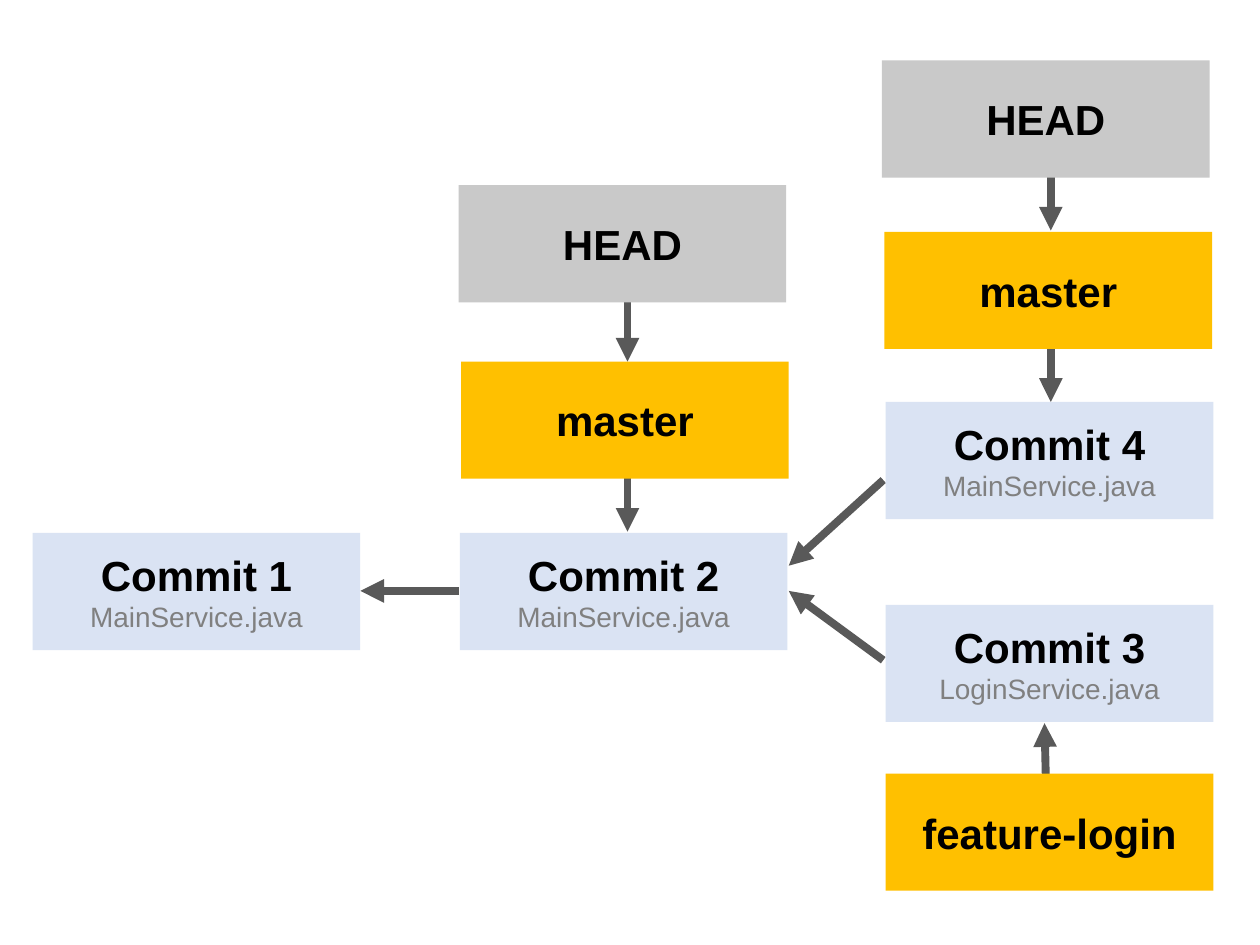
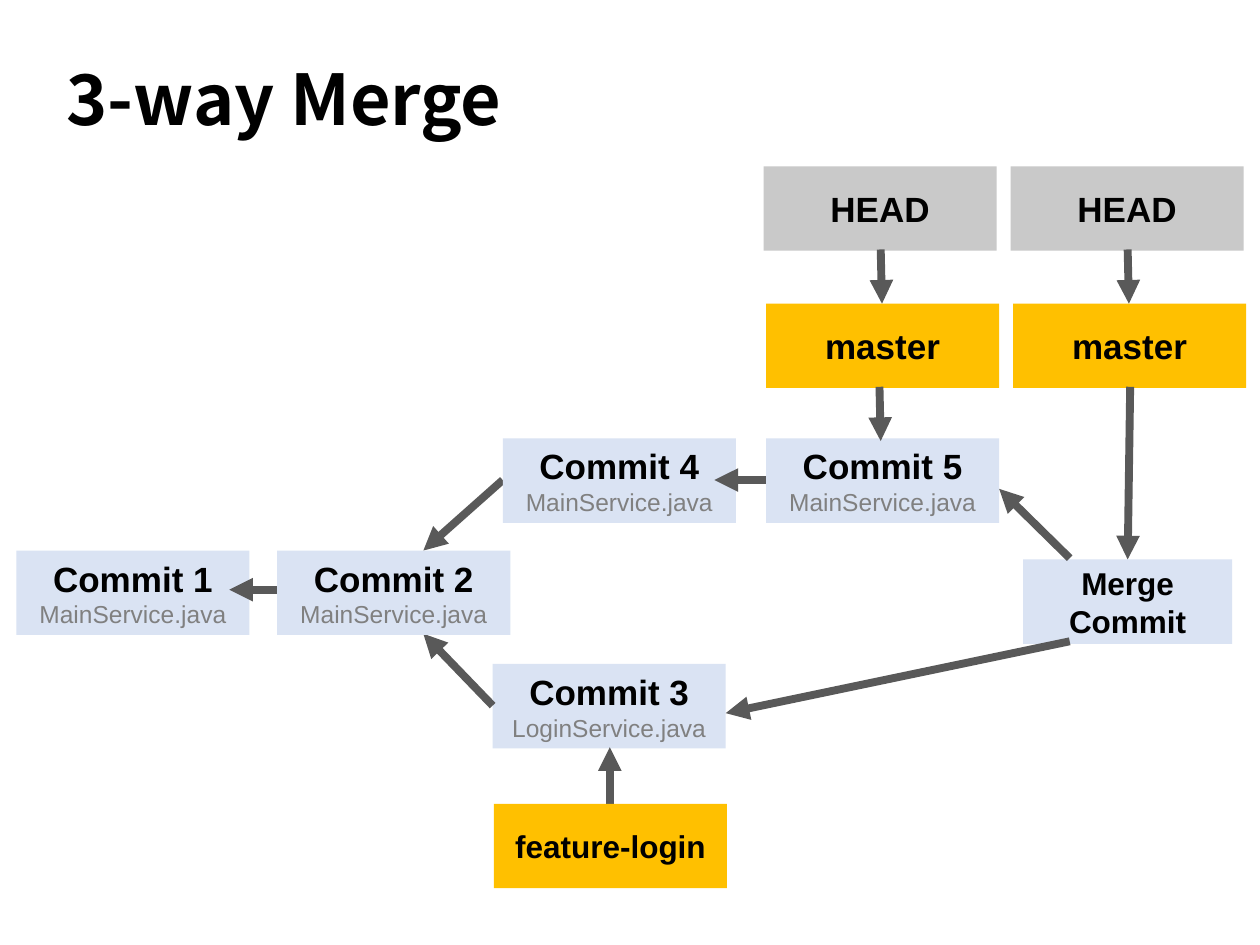
from lxml import etree
from pptx import Presentation
from pptx.dml.color import RGBColor
from pptx.enum.shapes import MSO_CONNECTOR, MSO_SHAPE
from pptx.enum.text import MSO_ANCHOR, PP_ALIGN
from pptx.oxml.ns import qn
from pptx.util import Inches, Pt

RECT = MSO_SHAPE.RECTANGLE
LINE = MSO_CONNECTOR.STRAIGHT
MIDDLE = MSO_ANCHOR.MIDDLE
CENTER = PP_ALIGN.CENTER

BLUE, GOLD, GREY = "DAE3F3", "FFC000", "C9C9C9"
BLACK, MUTED, DARK = "000000", "808080", "595959"
FONT, HEAVY = "Arial", "Noto Sans CJK KR"
MAIN, LOGIN = "MainService.java", "LoginService.java"


def color(code):
    """Turn a hex string into a colour."""
    return RGBColor.from_string(code)


class Graph:
    """Draw commit graphs in one shared style."""

    def __init__(self):
        """Start an empty 10 by 7.5 inch deck."""
        self.deck = Presentation()
        self.deck.slide_width = Inches(10)
        self.deck.slide_height = Inches(7.5)

    def page(self, width, height, large, small):
        """Add a slide and set its box and text sizes."""
        self.slide = self.deck.slides.add_slide(self.deck.slide_layouts[6])
        self.width, self.height = width, height
        self.large, self.small = large, small

    def style(self, para, size, code=BLACK, bold=True, name=FONT):
        """Format all runs of a paragraph."""
        for run in para.runs:
            run.font.name = name
            run.font.size = Pt(size)
            run.font.bold = bold
            run.font.color.rgb = color(code)

    def title(self, text):
        """Add the slide title."""
        box = self.slide.shapes.add_textbox(
            Inches(0.43), Inches(0.12), Inches(9.54), Inches(1.31))
        frame = box.text_frame
        frame.word_wrap = True
        frame.vertical_anchor = MIDDLE
        frame.text = text
        self.style(frame.paragraphs[0], 40, name=HEAVY)

    def box(self, text, left, top, fill, note=None, width=None, size=None):
        """Add a labelled box with an optional file name."""
        shape = self.slide.shapes.add_shape(
            RECT, Inches(left), Inches(top),
            Inches(width or self.width), Inches(self.height))
        shape.shadow.inherit = False
        shape.fill.solid()
        shape.fill.fore_color.rgb = color(fill)
        shape.line.fill.background()
        frame = shape.text_frame
        frame.word_wrap = True
        frame.vertical_anchor = MIDDLE
        frame.text = text
        self.style(frame.paragraphs[0], size or self.large)
        if note:
            para = frame.add_paragraph()
            para.text = note
            self.style(para, self.small, MUTED, False)
        for para in frame.paragraphs:
            para.alignment = CENTER

    def commit(self, number, left, top, note=MAIN):
        """Add a numbered commit box."""
        self.box(f"Commit {number}", left, top, BLUE, note)

    def tip(self, left, head, master):
        """Add a HEAD box over a master box."""
        self.box("HEAD", left, head, GREY)
        self.box("master", left + 0.02, master, GOLD)

    def arrows(self, *ends):
        """Add arrows, each given as x1, y1, x2, y2."""
        for points in ends:
            link = self.slide.shapes.add_connector(
                LINE, *[Inches(value) for value in points])
            link.line.color.rgb = color(DARK)
            link.line.width = Pt(4.5)
            etree.SubElement(link.line._get_or_add_ln(), qn("a:tailEnd"),
                             type="triangle")
            etree.SubElement(link._element.spPr, qn("a:effectLst"))


def branch(graph):
    """Draw the two branches before the merge."""
    graph.page(2.6, 0.93, 24, 16)
    graph.arrows(
        (3.64, 4.69, 2.86, 4.69),
        (7.01, 5.24, 6.26, 4.69),
        (7.01, 3.81, 6.26, 4.49),
        (8.3, 6.17, 8.29, 5.74),
        (4.98, 2.21, 4.98, 2.87),
        (4.98, 3.56, 4.98, 4.22),
        (8.34, 1.17, 8.34, 1.83),
        (8.34, 2.52, 8.34, 3.19))
    graph.commit(1, 0.26, 4.23)
    graph.commit(2, 3.65, 4.23)
    graph.commit(3, 7.03, 4.8, LOGIN)
    graph.commit(4, 7.03, 3.19)
    graph.tip(3.64, 1.47, 2.87)
    graph.tip(7, 0.48, 1.84)
    graph.box("feature-login", 7.03, 6.14, GOLD)


def merge(graph):
    """Draw the three-way merge."""
    graph.page(1.85, 0.67, 20, 14)
    graph.title("3-way Merge")
    graph.arrows((3.99, 3.81, 3.36, 4.37))
    graph.commit(1, 0.13, 4.37)
    graph.commit(3, 3.91, 5.27, LOGIN)
    graph.commit(4, 3.99, 3.48)
    graph.arrows(
        (3.91, 5.6, 3.36, 5.03),
        (4.84, 6.58, 4.84, 5.93),
        (2.55, 4.68, 1.82, 4.68),
        (6.4, 3.81, 5.67, 3.81))
    graph.commit(2, 2.2, 4.37)
    graph.commit(5, 6.08, 3.48)
    graph.box("feature-login", 3.92, 6.38, GOLD, size=18)
    graph.box("Merge Commit", 8.12, 4.44, BLUE, width=1.66, size=18)
    for left in (6.06, 8.02):
        graph.tip(left, 1.32, 2.41)
        graph.arrows((left + 0.93, 1.98, left + 0.94, 2.41))
    graph.arrows(
        (6.98, 3.07, 6.99, 3.5),
        (8.97, 3.07, 8.95, 4.44),
        (8.49, 4.43, 7.93, 3.88),
        (8.49, 5.09, 5.76, 5.66))


def main():
    """Build and save the deck."""
    graph = Graph()
    branch(graph)
    merge(graph)
    graph.deck.save("out.pptx")


if __name__ == "__main__":
    main()
